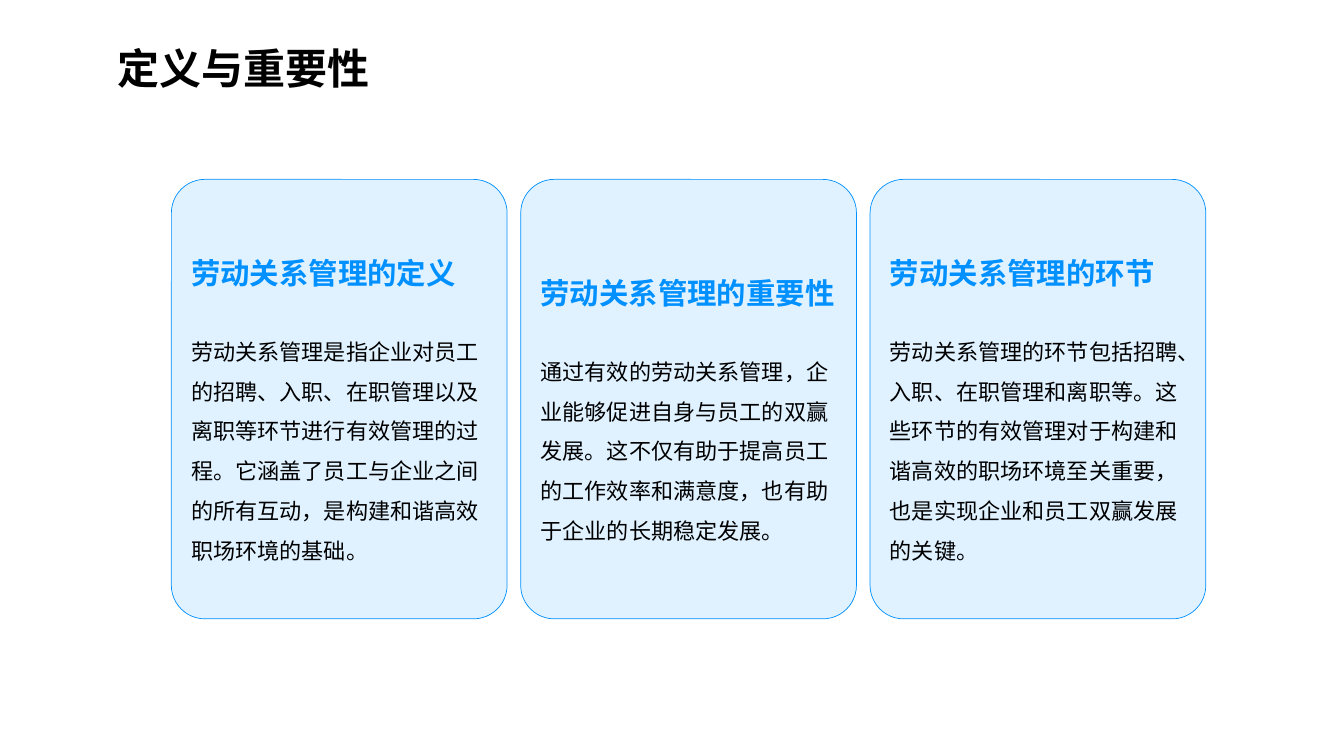
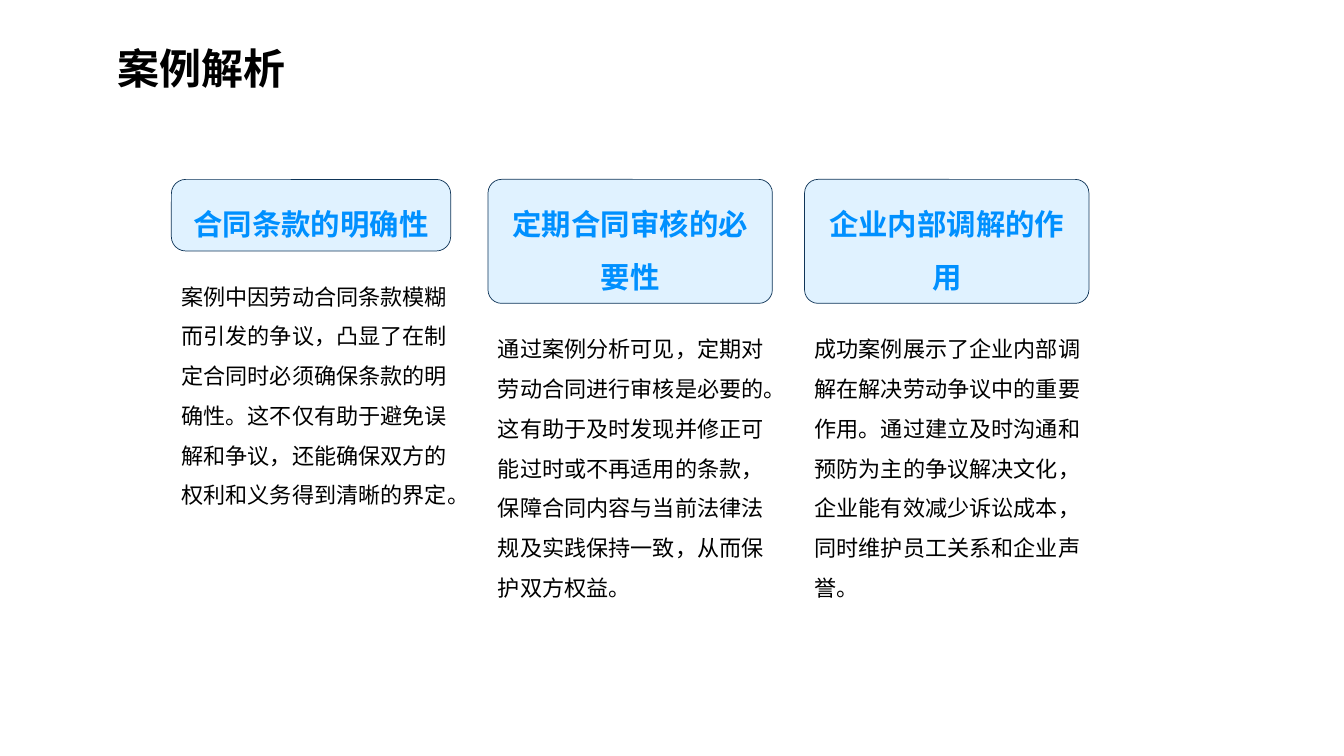
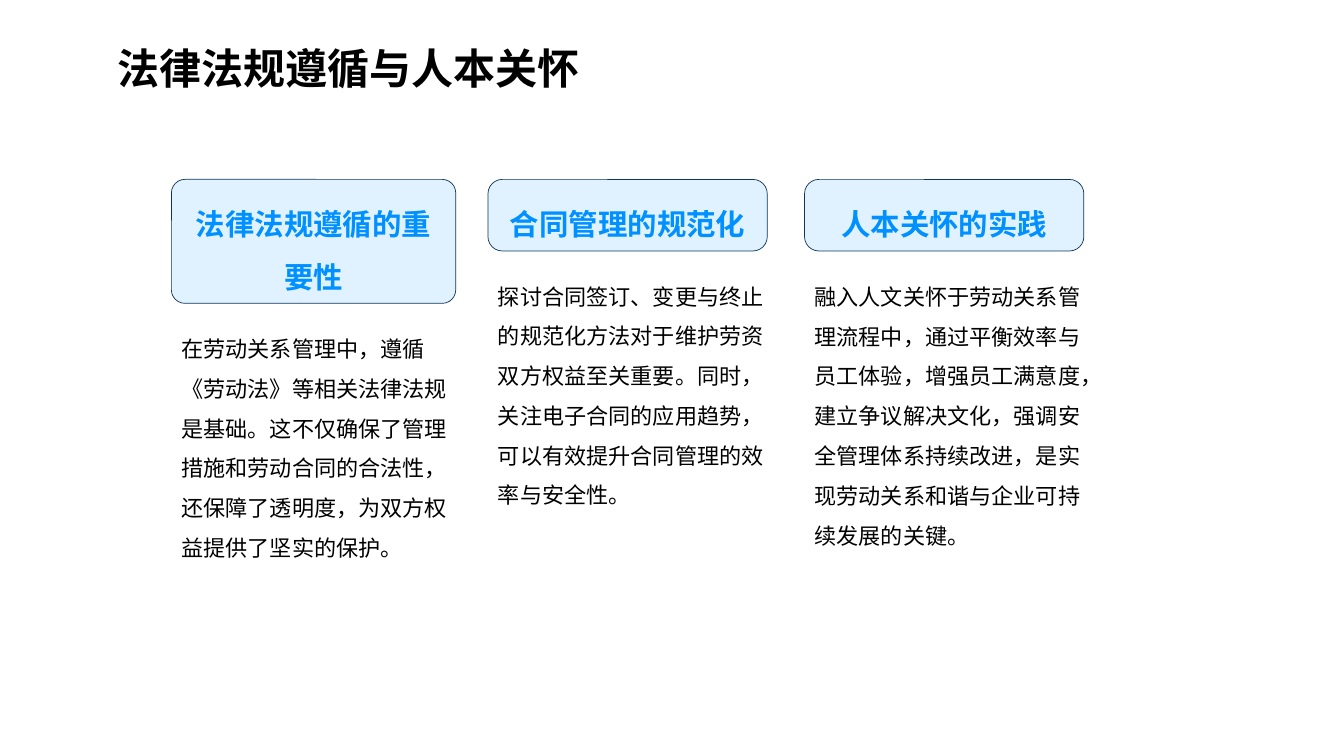
"""Build three slides on managing labour relations."""
from dataclasses import dataclass

from lxml import etree
from pptx import Presentation
from pptx import util as u
from pptx.dml.color import RGBColor
from pptx.enum import shapes, text
from pptx.oxml.ns import qn

FONT = "Noto Sans CJK SC"
BLACK, BLUE, PALE, NAVY = "000000", "0090FF", "E0F2FF", "0F3558"
TITLE_SIZE, HEAD_SIZE, BODY_SIZE = 30, 21, 15.8
LEFT, TOP = 1.7, 1.78
CARD_W, CARD_H, CARD_PITCH = 3.33, 4.36, 3.465
TOPIC_W, TOPIC_PITCH, TOPIC_GAP = 3, 3.14, 0.14
PILLS = {1: (2.77, 0.71, 0.2), 2: (2.82, 1.23, 0.109)}


@dataclass
class Box:
    """A rectangle in inches."""
    x: float
    y: float
    w: float
    h: float

    def emu(self) -> tuple:
        """Return left, top, width and height as lengths."""
        return tuple(u.Inches(v) for v in (self.x, self.y, self.w, self.h))


@dataclass
class Card:
    """A heading and its explanation in one rounded panel."""
    head: str
    body: str


@dataclass
class Topic:
    """A heading pill above its explanation, with their line counts."""
    head: str
    body: str
    head_lines: int
    body_lines: int


def rgb(value: str) -> RGBColor:
    """Turn a hex string into a colour."""
    return RGBColor.from_string(value)


def style(p, size: float, color: str, bold: bool = False,
          spacing: float = 1.5, align=text.PP_ALIGN.LEFT) -> None:
    """Set the alignment, spacing and font of a paragraph."""
    p.alignment, p.line_spacing = align, spacing
    f = p.font
    f.name, f.size, f.bold = FONT, u.Pt(size), bold
    f.color.rgb = rgb(color)
    props = p._p.pPr.find(qn("a:defRPr"))
    etree.SubElement(props, qn("a:ea")).set("typeface", FONT)


def add_text(s, box: Box, words: str, size: float, bold: bool = False) -> None:
    """Add a wrapped black text box."""
    tf = s.shapes.add_textbox(*box.emu()).text_frame
    tf.word_wrap = True
    tf.auto_size = text.MSO_AUTO_SIZE.SHAPE_TO_FIT_TEXT
    tf.vertical_anchor = text.MSO_ANCHOR.MIDDLE
    tf.text = words
    style(tf.paragraphs[0], size, BLACK, bold)


def add_panel(s, box: Box, adj: float, line: str):
    """Add a pale rounded panel and return its text frame."""
    sp = s.shapes.add_shape(shapes.MSO_SHAPE.ROUNDED_RECTANGLE, *box.emu())
    sp.adjustments[0] = adj
    sp.shadow.inherit = False
    sp.fill.solid()
    sp.fill.fore_color.rgb = rgb(PALE)
    sp.line.color.rgb = rgb(line)
    sp.line.width = u.Pt(0.5)
    tf = sp.text_frame
    tf.word_wrap = True
    tf.vertical_anchor = text.MSO_ANCHOR.MIDDLE
    return tf


def add_card(s, col: int, card: Card) -> None:
    """Draw a card in its column."""
    box = Box(LEFT + col * CARD_PITCH, TOP, CARD_W, CARD_H)
    tf = add_panel(s, box, 0.1, BLUE)
    tf.margin_top = u.Inches(0.25)
    tf.text = card.head
    style(tf.paragraphs[0], HEAD_SIZE, BLUE, True, 1)
    p = tf.add_paragraph()
    p.text = card.body
    p.space_before = u.Pt(25)
    style(p, BODY_SIZE, BLACK)


def add_topic(s, col: int, topic: Topic) -> None:
    """Draw a heading pill with its text below."""
    x = LEFT + col * TOPIC_PITCH
    w, h, adj = PILLS[topic.head_lines]
    body = Box(x, TOP + h + TOPIC_GAP, TOPIC_W, 0.06 + 0.4 * topic.body_lines)
    add_text(s, body, topic.body, BODY_SIZE)
    tf = add_panel(s, Box(x, TOP, w, h), adj, NAVY)
    tf.auto_size = text.MSO_AUTO_SIZE.SHAPE_TO_FIT_TEXT
    tf.text = topic.head
    style(tf.paragraphs[0], HEAD_SIZE, BLUE, True, align=text.PP_ALIGN.CENTER)


SLIDES = {
    "定义与重要性": [
        Card("劳动关系管理的定义",
             "劳动关系管理是指企业对员工的招聘、入职、在职管理以及离职等环节进行有效管理的过程。"
             "它涵盖了员工与企业之间的所有互动，是构建和谐高效职场环境的基础。"),
        Card("劳动关系管理的重要性",
             "通过有效的劳动关系管理，企业能够促进自身与员工的双赢发展。"
             "这不仅有助于提高员工的工作效率和满意度，也有助于企业的长期稳定发展。"),
        Card("劳动关系管理的环节",
             "劳动关系管理的环节包括招聘、入职、在职管理和离职等。"
             "这些环节的有效管理对于构建和谐高效的职场环境至关重要，也是实现企业和员工双赢发展的关键。"),
    ],
    "案例解析": [
        Topic("合同条款的明确性",
              "案例中因劳动合同条款模糊而引发的争议，凸显了在制定合同时必须确保条款的明确性。"
              "这不仅有助于避免误解和争议，还能确保双方的权利和义务得到清晰的界定。", 1, 6),
        Topic("定期合同审核的必要性",
              "通过案例分析可见，定期对劳动合同进行审核是必要的。"
              "这有助于及时发现并修正可能过时或不再适用的条款，"
              "保障合同内容与当前法律法规及实践保持一致，从而保护双方权益。", 2, 7),
        Topic("企业内部调解的作用",
              "成功案例展示了企业内部调解在解决劳动争议中的重要作用。"
              "通过建立及时沟通和预防为主的争议解决文化，"
              "企业能有效减少诉讼成本，同时维护员工关系和企业声誉。", 2, 7),
    ],
    "法律法规遵循与人本关怀": [
        Topic("法律法规遵循的重要性",
              "在劳动关系管理中，遵循《劳动法》等相关法律法规是基础。"
              "这不仅确保了管理措施和劳动合同的合法性，"
              "还保障了透明度，为双方权益提供了坚实的保护。", 2, 6),
        Topic("合同管理的规范化",
              "探讨合同签订、变更与终止的规范化方法对于维护劳资双方权益至关重要。"
              "同时，关注电子合同的应用趋势，可以有效提升合同管理的效率与安全性。", 1, 6),
        Topic("人本关怀的实践",
              "融入人文关怀于劳动关系管理流程中，通过平衡效率与员工体验，增强员工满意度，"
              "建立争议解决文化，强调安全管理体系持续改进，"
              "是实现劳动关系和谐与企业可持续发展的关键。", 1, 7),
    ],
}


def main() -> None:
    """Build and save the deck."""
    prs = Presentation()
    prs.slide_width, prs.slide_height = u.Inches(13.33), u.Inches(7.5)
    for title, items in SLIDES.items():
        s = prs.slides.add_slide(prs.slide_layouts[6])
        add_text(s, Box(1.07, 0.12, 10.25, 0.85), title, TITLE_SIZE, True)
        for col, item in enumerate(items):
            draw = add_card if isinstance(item, Card) else add_topic
            draw(s, col, item)
    prs.save("out.pptx")


if __name__ == "__main__":
    main()
